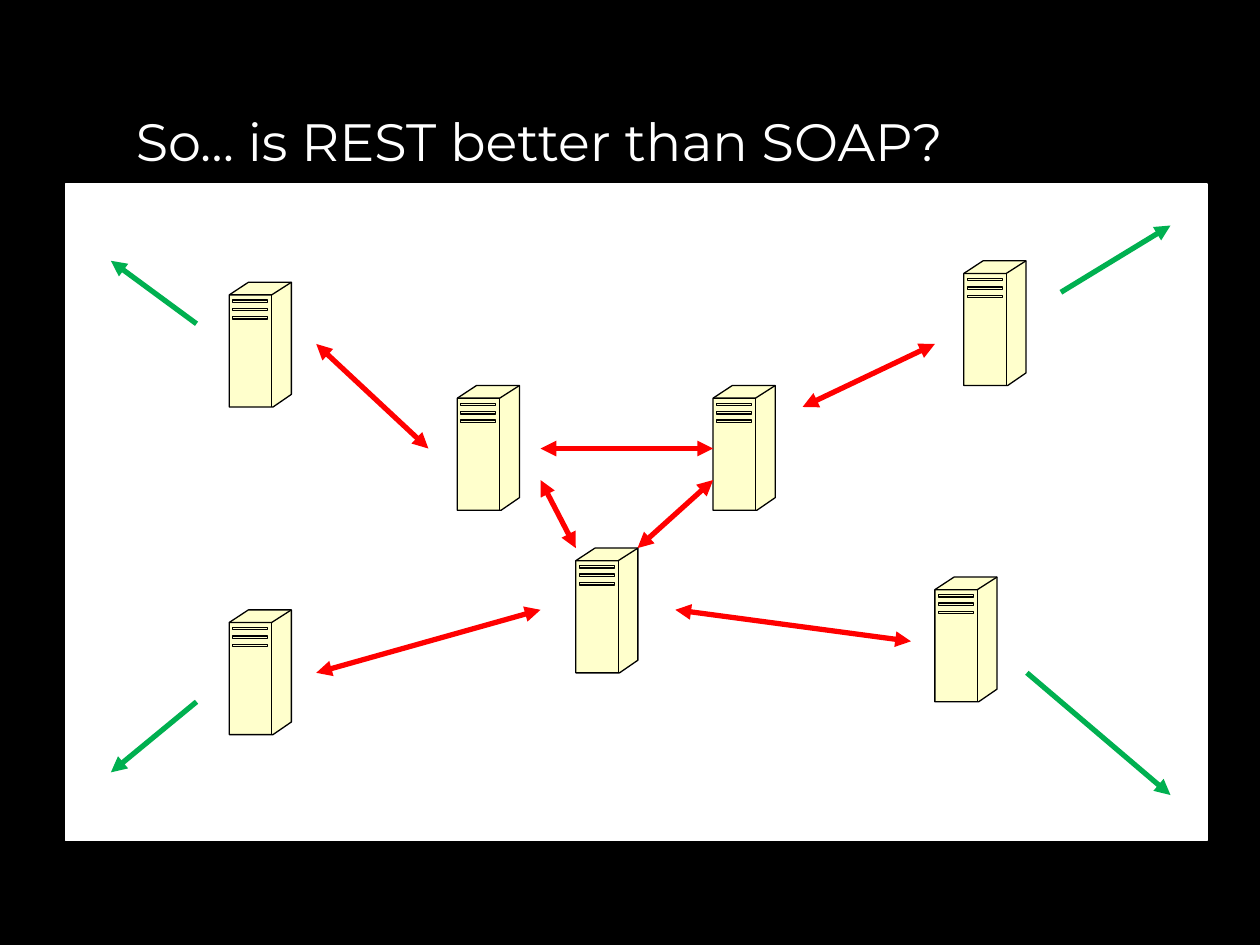
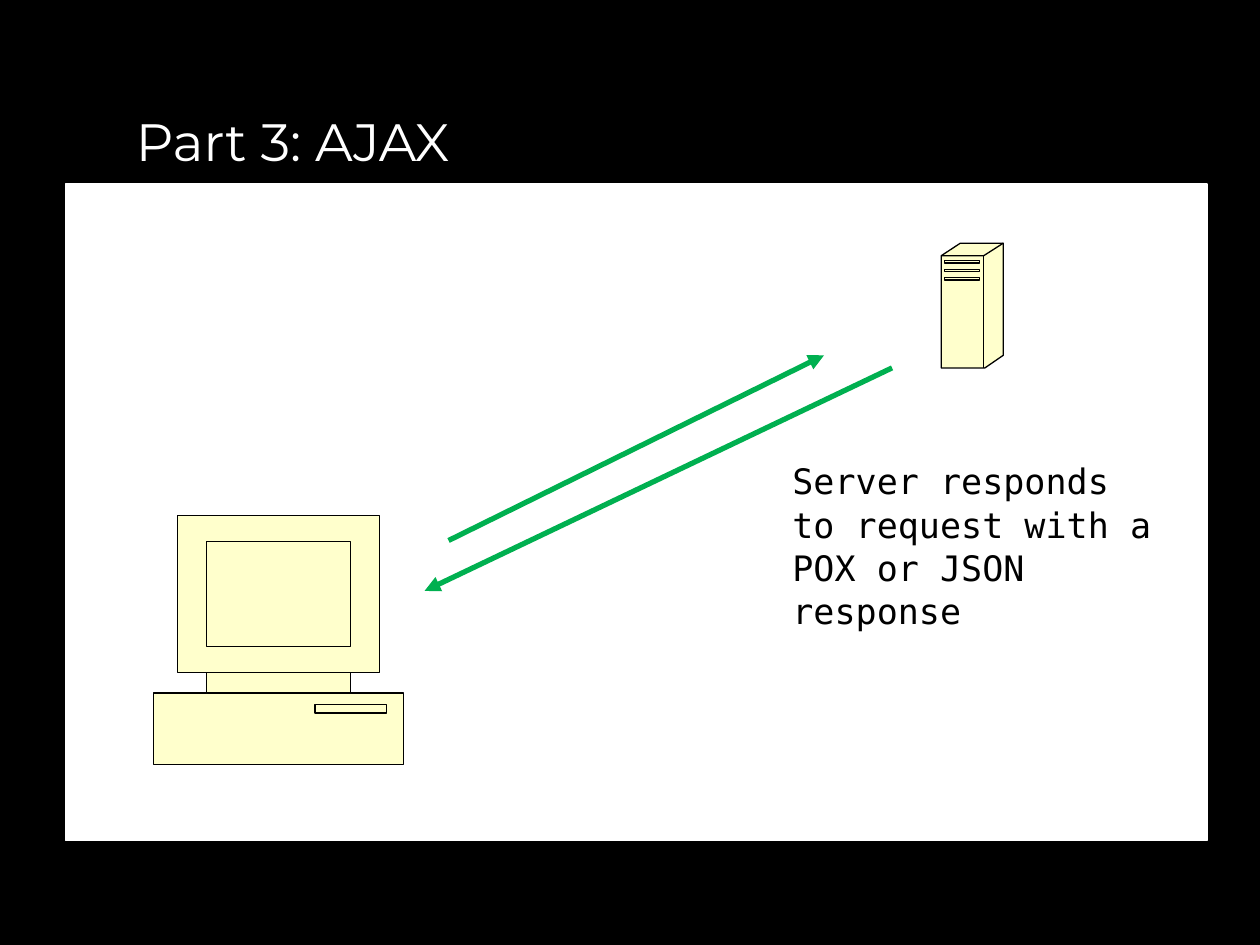
from lxml import etree
from pptx import Presentation
from pptx.dml.color import RGBColor
from pptx.enum.shapes import MSO_CONNECTOR, MSO_SHAPE
from pptx.enum.text import MSO_ANCHOR
from pptx.oxml.ns import qn
from pptx.util import Inches, Pt

# Grid: 100 columns by 75 rows of square cells
COLUMNS, ROWS = 100, 75
CELL = Inches(0.1)

COLOURS = {
    "background": "000000",
    "panel": "FFFFFF",
    "title": "FFFFFF",
    "text": "000000",
    "outline": "000000",
    "machine": "FFFFCC",
    "service": "FF0000",
    "client": "00B050",
}
TITLE_FORMAT = {"name": "Montserrat", "size": Pt(30)}
CAPTION_FORMAT = {"name": "DejaVu Sans Mono", "size": Pt(20)}


def cells(*values):
    return [round(value * CELL) for value in values]


def colour(name):
    return RGBColor.from_string(COLOURS[name])


def paint(shape, fill, line):
    """Set fill and outline; a fill of None leaves the shape hollow."""
    shape.shadow.inherit = False
    if fill:
        shape.fill.solid()
        shape.fill.fore_color.rgb = colour(fill)
    else:
        shape.fill.background()
    shape.line.color.rgb = colour(line)
    shape.line.width = Pt(0.75)


def add_text(page, place, text, formats, colour_name, anchor, line_spacing=None):
    box = page.shapes.add_textbox(*cells(*place))
    frame = box.text_frame
    frame.word_wrap = True
    frame.vertical_anchor = anchor
    para = frame.paragraphs[0]
    para.line_spacing = line_spacing
    span = para.add_run()
    span.text = text
    for attribute, value in formats.items():
        setattr(span.font, attribute, value)
    span.font.color.rgb = colour(colour_name)


def add_page(deck, title):
    """Black page with a title above a white panel."""
    page = deck.slides.add_slide(deck.slide_layouts[6])
    page.background.fill.solid()
    page.background.fill.fore_color.rgb = colour("background")
    add_text(page, (9.8, 7.8, 80.6, 6.7), title, TITLE_FORMAT, "title", MSO_ANCHOR.MIDDLE)
    panel = page.shapes.add_shape(MSO_SHAPE.RECTANGLE, *cells(5.2, 14.6, 90.6, 52.1))
    paint(panel, "panel", "panel")
    return page


def add_arrow(page, start, end, colour_name, both_ends=False):
    """Line with an arrowhead at its end, or at both ends."""
    arrow = page.shapes.add_connector(MSO_CONNECTOR.STRAIGHT, *cells(*start, *end))
    arrow.line.color.rgb = colour(colour_name)
    arrow.line.width = Pt(3)
    line = arrow.line._get_or_add_ln()
    for tag in ["a:headEnd", "a:tailEnd"] if both_ends else ["a:tailEnd"]:
        etree.SubElement(line, qn(tag), type="triangle")
    etree.SubElement(arrow._element.spPr, qn("a:effectLst"))


def add_outline(page, origin, contours, fill=None):
    """Draw contours, whose points are offsets from the origin, as one shape."""
    left, top = origin
    placed = [[cells(left + x, top + y) for x, y in contour] for contour in contours]
    builder = page.shapes.build_freeform(*placed[0][0], scale=1.0)
    builder.add_line_segments(placed[0][1:], close=False)
    for contour in placed[1:]:
        builder.move_to(*contour[0])
        builder.add_line_segments(contour[1:], close=False)
    paint(builder.convert_to_shape(), fill, "outline")


def rectangle(left, top, right, bottom):
    return [(left, top), (right, top), (right, bottom), (left, bottom), (left, top)]


def add_server(page, origin):
    width, height, front, depth = 4.93, 9.9, 3.37, 1
    tower = [(0, depth), (1.52, 0), (width, 0), (width, height - depth),
             (3.47, height), (0, height), (0, depth)]
    edges = [[(0, depth), (front, depth), (width, 0)],
             [(front, depth), (front, height)]]
    slots = [rectangle(0.27, top, 3.05, top + 0.18)
             for top in (1.4 + 0.67 * row for row in range(3))]
    add_outline(page, origin, [tower], "machine")
    add_outline(page, origin, edges + slots)


def add_computer(page, origin):
    width, height = 19.8, 19.8
    case_top, screen_foot = 14.1, 12.5
    neck_left, neck_right = 4.2, 15.6
    monitor_left, monitor_right = 1.9, 17.9
    body = [(neck_right, case_top), (neck_right, screen_foot),
            (monitor_right, screen_foot), (monitor_right, 0),
            (monitor_left, 0), (monitor_left, screen_foot),
            (neck_left, screen_foot), (neck_left, case_top),
            (0, case_top), (0, height), (width, height),
            (width, case_top), (neck_right, case_top)]
    neck = rectangle(neck_left, screen_foot, neck_right, case_top)
    screen = rectangle(neck_left, 2.1, neck_right, 10.4)
    drive = rectangle(12.8, 15, 18.5, 15.7)
    add_outline(page, origin, [body], "machine")
    add_outline(page, origin, [neck, screen, drive])


def build_network(deck):
    page = add_page(deck, "So… is REST better than SOAP?")

    # Inner triangle of servers, then the four outer ones
    for origin in [(36.3, 30.6), (45.7, 43.5), (56.6, 30.6), (18.2, 22.4),
                   (18.2, 48.4), (74.2, 45.8), (76.5, 20.7)]:
        add_server(page, origin)

    # Links between servers
    for start, end in [
        ((42.9, 38.1), (45.7, 43.5)),
        ((56.6, 35.6), (42.9, 35.6)),
        ((56.6, 38.1), (50.6, 43.5)),
        ((34, 35.6), (25.1, 27.3)),
        ((42.9, 48.4), (25.1, 53.4)),
        ((74.2, 27.3), (63.7, 32.3)),
        ((72.3, 50.9), (53.6, 48.4)),
    ]:
        add_arrow(page, start, end, "service", both_ends=True)

    # Links out to clients
    for start, end in [
        ((15.6, 25.7), (8.8, 20.7)),
        ((15.6, 55.7), (8.8, 61.3)),
        ((84.2, 23.2), (92.9, 17.9)),
        ((81.5, 53.4), (92.9, 63.1)),
    ]:
        add_arrow(page, start, end, "client")


def build_ajax(deck):
    page = add_page(deck, "Part 3: AJAX")
    add_server(page, (74.7, 19.3))
    add_computer(page, (12.2, 40.9))
    add_text(page, (61.9, 35.9, 30.5, 14.4),
             "Server responds to request with a POX or JSON response",
             CAPTION_FORMAT, "text", MSO_ANCHOR.TOP, line_spacing=1.03)

    # Response and request
    add_arrow(page, (70.8, 29.2), (33.7, 46.9), "client")
    add_arrow(page, (35.6, 42.9), (65.4, 28.2), "client")


def main():
    deck = Presentation()
    deck.slide_width, deck.slide_height = COLUMNS * CELL, ROWS * CELL
    build_network(deck)
    build_ajax(deck)
    deck.save("out.pptx")


if __name__ == "__main__":
    main()
